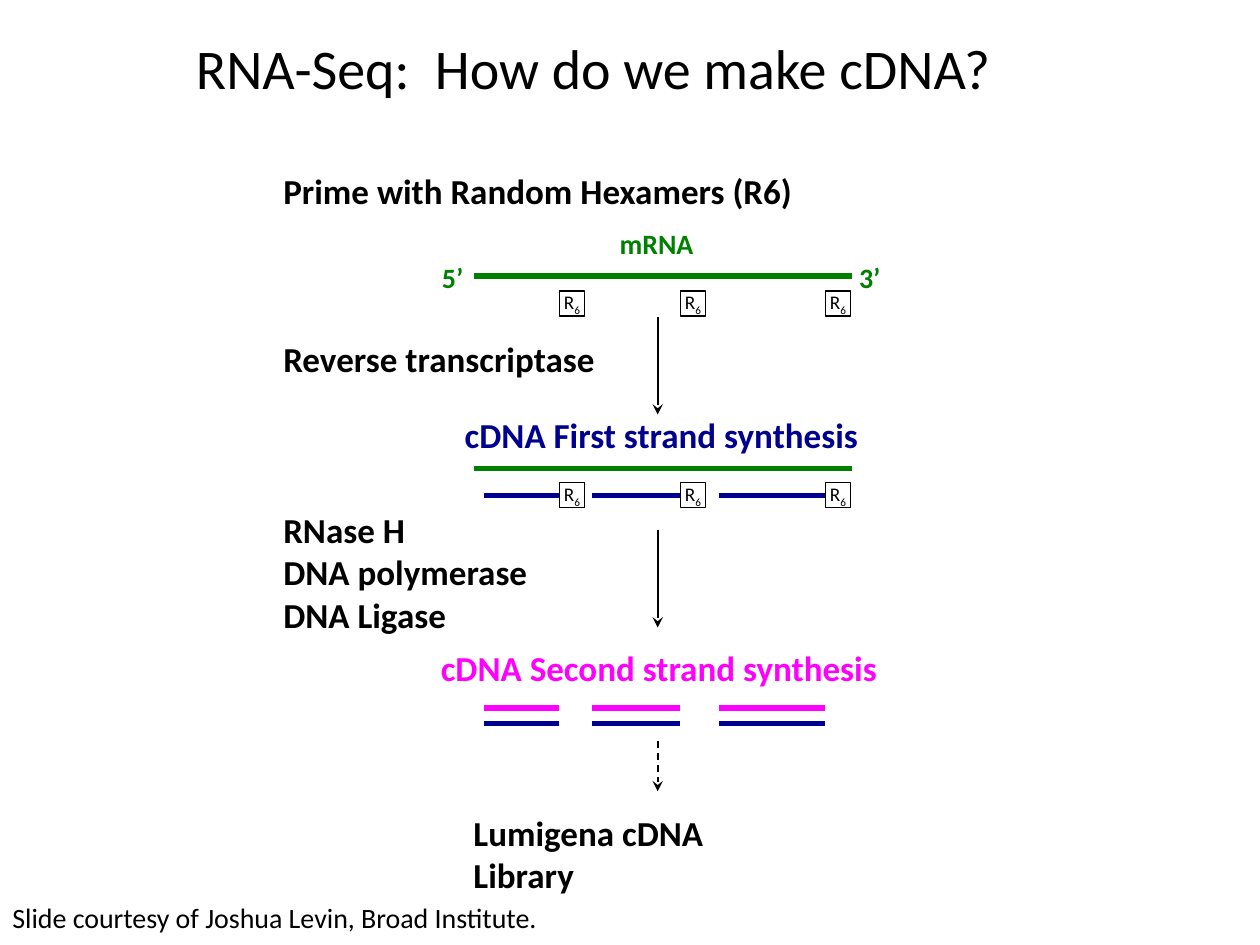
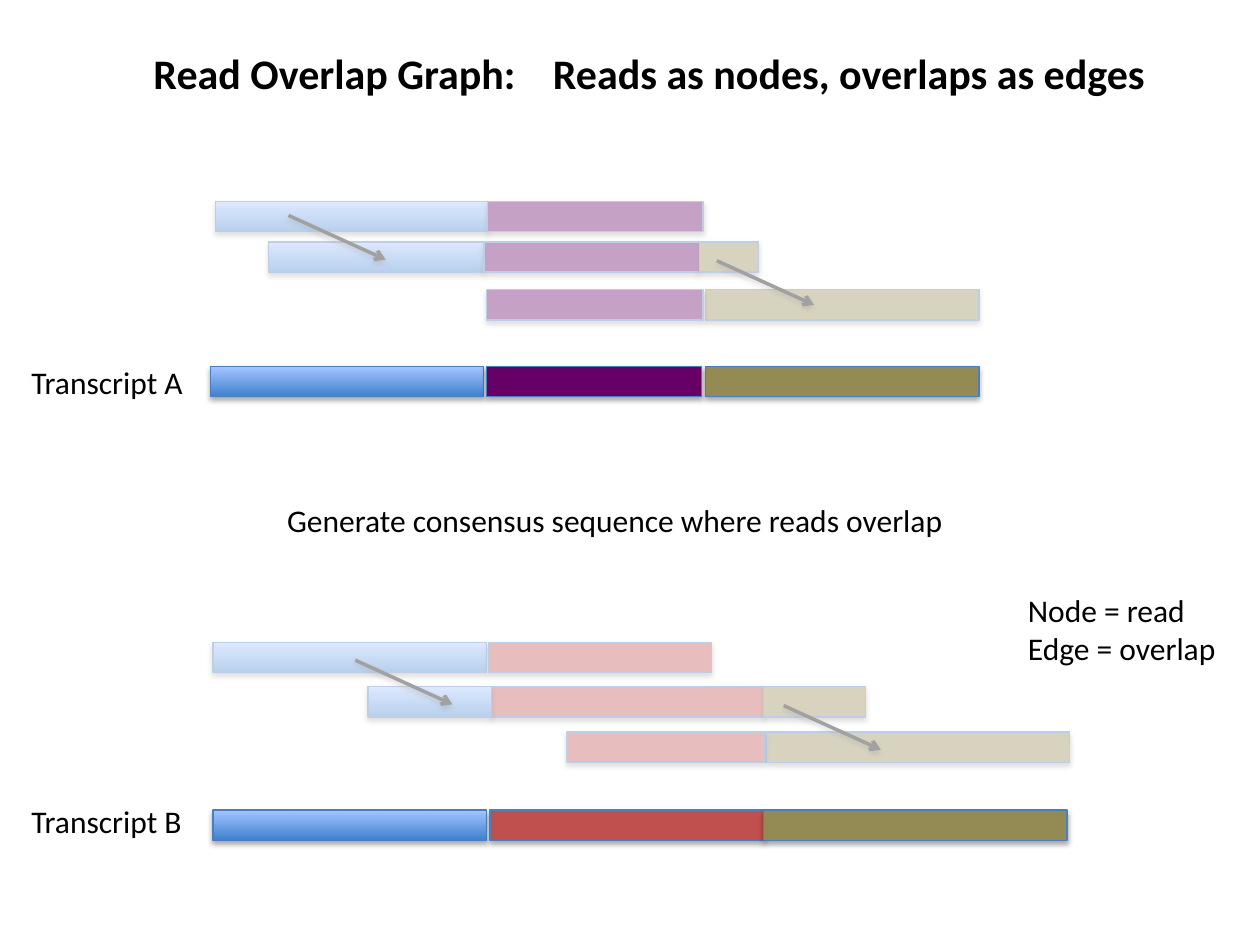
from lxml import etree
from pptx import Presentation
from pptx.dml.color import RGBColor
from pptx.enum import dml, shapes, text
from pptx.oxml import ns
from pptx.util import Inches, Pt

FONT = "Calibri"
COLORS = {
    "black": "000000", "white": "FFFFFF",
    "mrna": "008000", "first": "000090", "second": "FF00FF",
    "blue_dark": "3F80CE", "blue_light": "A4C4FF", "outline": "4B7EBC",
    "purple": "660066", "olive": "948A54", "red": "C0504D",
}

# cDNA slide: left, top, width, height, lines, size, colour, bold
CDNA_LABELS = [
    (2.15, 1.3, 4.27, 0.44, ["Prime with Random Hexamers (R6)"], 20, "black", True),
    (2.15, 2.63, 2.7, 0.44, ["Reverse transcriptase"], 20, "black", True),
    (2.15, 3.99, 2.16, 1.11, ["RNase H", "DNA polymerase", "DNA Ligase"], 20, "black", True),
    (3.59, 3.23, 3.37, 0.44, ["cDNA First strand synthesis"], 20, "first", True),
    (3.4, 5.08, 3.71, 0.44, ["cDNA Second strand synthesis"], 20, "second", True),
    (4.82, 1.75, 0.79, 0.37, ["mRNA"], 16, "mrna", True),
    (3.41, 2.02, 0.44, 0.37, ["5’"], 16, "mrna", True),
    (6.72, 2.02, 0.4, 0.37, ["3’"], 16, "mrna", True),
    (3.66, 6.39, 2.73, 0.44, ["Lumigena cDNA Library"], 20, "black", True),
    (0, 7.1, 4.44, 0.37, ["Slide courtesy of Joshua Levin, Broad Institute."], 16, "black", False),
]
MRNA_SPAN = (3.76, 6.76)
MRNA_TOPS = (2.19, 3.72)
FRAGMENTS = [(3.84, 4.44), (4.7, 5.4), (5.71, 6.55)]  # each ends at a primer
PRIMER_SIZE = 0.2
PRIMER_TOPS = {"annealed": 2.31, "extended": 3.83}
SECOND_STRANDS = [(5.74, "first"), (5.62, "second")]
STEP_X = 5.22
STEPS = [(2.52, 3.29, False), (4.21, 4.98, False), (5.88, 6.28, True)]

# Overlap slide: each bar is left, width, fill; each row is top, bars
BAR_HEIGHT = 0.24
READS = [
    [(1.6, [(1.71, 2.17, "blue"), (3.87, 1.71, "purple")]),
     (1.92, [(2.13, 1.71, "blue"), (3.84, 1.71, "purple"), (5.55, 0.47, "olive")]),
     (2.3, [(5.6, 2.17, "olive"), (3.86, 1.72, "purple")])],
    [(5.1, [(1.69, 2.17, "blue"), (3.88, 1.77, "red")]),
     (5.45, [(3.89, 2.17, "red"), (6.06, 0.81, "olive"), (2.92, 0.98, "blue")]),
     (5.81, [(6.08, 2.41, "olive"), (4.5, 1.57, "red")])],
]
OVERLAP_STARTS = [(2.29, 1.71), (5.69, 2.07), (2.82, 5.24), (6.22, 5.6)]
OVERLAP_STEP = (0.77, 0.35)
VEILS = [(1.21, 1.21), (1.59, 4.76)]
VEIL_SIZE = (7.01, 1.52)
TRANSCRIPTS = [
    ("Transcript A", 2.83, 2.91,
     [(1.67, 2.17, "blue"), (3.86, 1.71, "purple"), (5.6, 2.17, "olive")]),
    ("Transcript B", 6.32, 6.43,
     [(1.69, 2.17, "blue"), (3.89, 2.17, "red"), (6.06, 2.41, "olive")]),
]
OVERLAP_LABELS = [
    (2.18, 3.93, 5.61, 0.4, ["Generate consensus sequence where reads overlap"], 18),
    (8.06, 4.64, 1.71, 0.71, ["Node = read", "Edge = overlap"], 18),
]


def rgb(name):
    return RGBColor.from_string(COLORS[name])


def child(parent, tag, **attributes):
    element = etree.SubElement(parent, ns.qn(tag))
    for key, value in attributes.items():
        element.set(key, str(value))
    return element


def set_shadow(item, opacity=0, distance=0):
    """Replace the theme's shadow by none, or by a soft one straight below."""
    effects = child(item._element.spPr, "a:effectLst")
    if opacity:
        outer = child(effects, "a:outerShdw", blurRad=Pt(3.1), dist=Pt(distance),
                      dir=90 * 60000, rotWithShape=0)
        color = child(outer, "a:srgbClr", val=COLORS["black"])
        child(color, "a:alpha", val=opacity * 1000)


def style_font(para, size, color="black", bold=False):
    font = para.font
    font.name, font.size, font.bold = FONT, Pt(size), bold
    font.color.rgb = rgb(color)


def add_text(parent, left, top, width, height, lines, size, color="black",
             bold=False, centered=False, wrap=False, tab=None):
    box = parent.add_textbox(*map(Inches, (left, top, width, height)))
    frame = box.text_frame
    frame.word_wrap = wrap
    frame.auto_size = text.MSO_AUTO_SIZE.NONE if wrap else text.MSO_AUTO_SIZE.SHAPE_TO_FIT_TEXT
    for index, line in enumerate(lines):
        para = frame.add_paragraph() if index else frame.paragraphs[0]
        para.add_run().text = line
        if centered:
            para.alignment = text.PP_ALIGN.CENTER
        if tab:
            stops = child(para._p.get_or_add_pPr(), "a:tabLst")
            child(stops, "a:tab", pos=Inches(tab), algn="l")
        style_font(para, size, color, bold)


def add_line(parent, start, end, color, width, head=None, dashed=False, shadow=()):
    line = parent.add_connector(shapes.MSO_CONNECTOR.STRAIGHT,
                                *map(Inches, (*start, *end)))
    line.line.color.rgb = rgb(color)
    line.line.width = Pt(width)
    if dashed:
        line.line.dash_style = dml.MSO_LINE.DASH
    if head:
        child(line.line._get_or_add_ln(), "a:tailEnd", type=head)
    set_shadow(line, *shadow)
    return line


def add_rect(parent, left, top, width, height, fill, outline=None, shadow=()):
    rect = parent.add_shape(shapes.MSO_SHAPE.RECTANGLE,
                            *map(Inches, (left, top, width, height)))
    if fill == "blue":
        rect.fill.gradient()
        rect.fill.gradient_angle = 90
        for stop, shade in zip(rect.fill.gradient_stops, ("blue_dark", "blue_light")):
            stop.color.rgb = rgb(shade)
    else:
        rect.fill.solid()
        rect.fill.fore_color.rgb = rgb(fill)
    if outline:
        rect.line.color.rgb = rgb(outline)
        rect.line.width = Pt(0.75)
    else:
        rect.line.fill.background()
    set_shadow(rect, *shadow)
    return rect


def add_primer(parent, left, top):
    box = add_rect(parent, left, top, PRIMER_SIZE, PRIMER_SIZE, "white", "black")
    frame = box.text_frame
    frame.word_wrap = False
    frame.vertical_anchor = text.MSO_ANCHOR.MIDDLE
    frame.margin_left = frame.margin_right = frame.margin_top = frame.margin_bottom = 0
    para = frame.paragraphs[0]
    para.alignment = text.PP_ALIGN.CENTER
    for letters, baseline in (("R", 0), ("6", -25000)):
        span = para.add_run()
        span.text = letters
        span.font.color.rgb = rgb("black")
        if baseline:
            span.font._element.set("baseline", str(baseline))
    style_font(para, 11)
    return box


def add_bars(parent, top, bars):
    for left, width, fill in bars:
        add_rect(parent, left, top, width, BAR_HEIGHT, fill, "outline", (35, 1.8))


def build_cdna(page):
    parent = page.shapes
    add_text(parent, 0.3, 0.22, 8.82, 0.55, ["RNA-Seq:  How do we make cDNA?"], 32,
             centered=True, wrap=True)
    for label in CDNA_LABELS:
        add_text(parent, *label)
    for top in MRNA_TOPS:
        add_line(parent, (MRNA_SPAN[0], top), (MRNA_SPAN[1], top), "mrna", 3)
    for start, end in FRAGMENTS:
        add_primer(parent, end, PRIMER_TOPS["annealed"])
        primer = add_primer(parent, end, PRIMER_TOPS["extended"])
        middle = PRIMER_TOPS["extended"] + PRIMER_SIZE / 2
        strand = add_line(parent, (start, middle), (end, middle), "first", 3)
        strand.end_connect(primer, 1)
        for top, color in SECOND_STRANDS:
            add_line(parent, (start, top), (end, top), color, 3)
    for top, bottom, dashed in STEPS:
        add_line(parent, (STEP_X, top), (STEP_X, bottom), "black", 1, "stealth", dashed)


def build_overlap(page):
    parent = page.shapes
    for rows in READS:
        group = parent.add_group_shape()
        for top, bars in rows:
            add_bars(group.shapes, top, bars)
    for left, top in OVERLAP_STARTS:
        end = (left + OVERLAP_STEP[0], top + OVERLAP_STEP[1])
        add_line(parent, (left, top), end, "black", 2, "arrow", shadow=(38, 1.6))
    for left, top in VEILS:
        veil = add_rect(parent, left, top, *VEIL_SIZE, "white")
        color = veil._element.spPr.find(ns.qn("a:solidFill"))[0]
        child(color, "a:alpha", val=63000)
    add_text(parent, 1.12, 0.33, 8.4, 0.5,
             ["Read Overlap Graph:\tReads as nodes, overlaps as edges"], 24,
             bold=True, wrap=True, tab=3.17)
    for name, label_top, bar_top, bars in TRANSCRIPTS:
        group = parent.add_group_shape()
        add_bars(group.shapes, bar_top, bars)
        add_text(group.shapes, 0.15, label_top, 1.44, 0.4, [name], 18)
    for label in OVERLAP_LABELS:
        add_text(parent, *label)


def main():
    deck = Presentation()
    deck.slide_width, deck.slide_height = Inches(10), Inches(7.5)
    for build in (build_cdna, build_overlap):
        build(deck.slides.add_slide(deck.slide_layouts[6]))
    deck.save("out.pptx")


if __name__ == "__main__":
    main()
